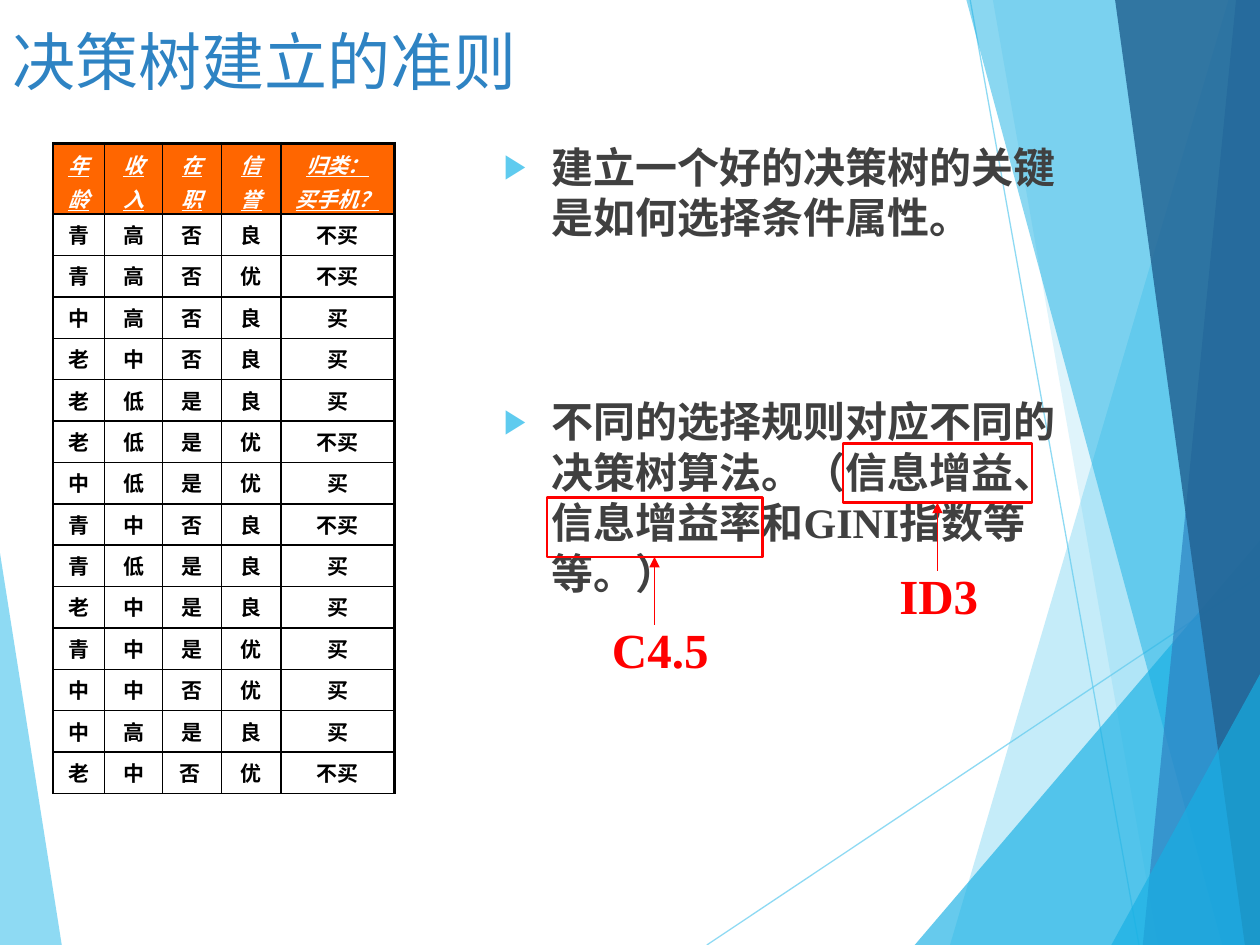
from dataclasses import dataclass
from lxml import etree
from pptx import Presentation, util as u
from pptx.dml.color import RGBColor
from pptx.enum import shapes, text
from pptx.oxml import ns

UNIT = u.Inches(0.1)
WIDE, HIGH = 100, 75


@dataclass(frozen=True)
class Theme:
    """Colours, fonts and type sizes of the slide."""
    sky: str = "5FCBEF"
    aqua: str = "17B0E4"
    blue: str = "2E83C3"
    navy: str = "226292"
    ink: str = "404040"
    black: str = "000000"
    white: str = "FFFFFF"
    red: str = "FF0000"
    head: str = "FF6600"
    serif: str = "Times New Roman"
    sans: str = "Arial"
    title: int = 36
    body: int = 24
    label: int = 28
    cell: int = 12


T = Theme()

FACETS = [
    ([(0, 43.9), (4.9, 75), (0, 75)], T.sky, 70),
    ([(97.5, 0), (75.4, 75), (100, 75), (100, 0)], T.sky, 36),
    ([(78.8, 0), (91.9, 75), (100, 75), (100, 0)], T.sky, 20),
    ([(72.6, 75), (100, 42.9), (100, 75)], T.aqua, 66),
    ([(76.7, 0), (97, 75), (100, 75), (100, 0)], T.aqua, 50),
    ([(98.1, 0), (90.7, 75), (100, 75), (100, 0)], T.blue, 70),
    ([(88.5, 0), (98.8, 75), (100, 75), (100, 0)], T.navy, 82),
    ([(88.2, 75), (100, 53.5), (100, 75)], T.aqua, 66),
]
RAYS = [((56.1, 75), (100, 45.7)), ((77, 0), (90.4, 75))]

COLS = [4.1, 4.6, 4.7, 4.7, 9]
HEADS = ["年\n龄", "收\n入", "在\n职", "信\n誉", "归类：\n买手机？"]
CASES = [
    "青,高,否,良,不买", "青,高,否,优,不买", "中,高,否,良,买", "老,中,否,良,买",
    "老,低,是,良,买", "老,低,是,优,不买", "中,低,是,优,买", "青,中,否,良,不买",
    "青,低,是,良,买", "老,中,是,良,买", "青,中,是,优,买", "中,中,否,优,买",
    "中,高,是,良,买", "老,中,否 ,优,不买",
]
POINTS = [
    "建立一个好的决策树的关键是如何选择条件属性。",
    "不同的选择规则对应不同的决策树算法。（信息增益、信息增益率和GINI指数等等。）",
]


def grid(*vals):
    """Turn grid columns or rows into lengths."""
    return [u.Emu(round(v * UNIT)) for v in vals]


def rgb(code):
    """Make a colour from its code."""
    return RGBColor.from_string(code)


def sub(node, tag, **attrs):
    """Append a drawing element with attributes."""
    return etree.SubElement(node, ns.qn("a:" + tag), attrs)


def fade(color, share):
    """Set the opacity of a solid colour in percent."""
    sub(color.find(".//" + ns.qn("a:srgbClr")), "alpha", val=str(share * 1000))


def style(para, size, color, name=T.serif, **marks):
    """Format every run of a paragraph."""
    for run in para.runs:
        font = run.font
        font.size, font.name = u.Pt(size), name
        font.color.rgb = rgb(color)
        for mark, on in marks.items():
            setattr(font, mark, on)


def line(slide, start, end, color, width):
    """Draw a straight connector without shadow."""
    link = slide.shapes.add_connector(
        shapes.MSO_CONNECTOR.STRAIGHT, *grid(*start, *end))
    link.line.color.rgb, link.line.width = rgb(color), u.Pt(width)
    sub(link._element.spPr, "effectLst")
    return link


def backdrop(slide):
    """Draw the thin rays and the translucent facets."""
    for start, end in RAYS:
        ray = line(slide, start, end, T.sky, 0.75)
        fade(ray.line._ln, 70)
    for spots, color, share in FACETS:
        first, *rest = [grid(*spot) for spot in spots]
        path = slide.shapes.build_freeform(*first)
        path.add_line_segments(rest, close=True)
        facet = path.convert_to_shape()
        facet.shadow.inherit = False
        facet.fill.solid()
        facet.fill.fore_color.rgb = rgb(color)
        facet.line.fill.background()
        fade(facet._element.spPr, share)


def heading(slide, box, words):
    """Place and format the title."""
    shape = slide.shapes.title
    shape.left, shape.top, shape.width, shape.height = grid(*box)
    frame = shape.text_frame
    frame.text = words
    frame.auto_size = text.MSO_AUTO_SIZE.NONE
    frame.vertical_anchor = text.MSO_ANCHOR.TOP
    frame.paragraphs[0].alignment = text.PP_ALIGN.LEFT
    style(frame.paragraphs[0], T.title, T.blue)


def bullets(slide, box, words):
    """Write the bulleted statements."""
    frame = slide.shapes.add_textbox(*grid(*box)).text_frame
    frame.word_wrap = True
    frame.text = "\n".join(words)
    for i, para in enumerate(frame.paragraphs):
        props = para._p.get_or_add_pPr()
        dent = u.Inches(0.38)
        props.set("marL", str(dent))
        props.set("indent", str(-dent))
        if i:
            para.space_before = u.Pt(88)
        sub(sub(props, "buClr"), "srgbClr", val=T.sky)
        sub(props, "buSzPct", val="80000")
        sub(props, "buFont", typeface=T.sans)
        sub(props, "buChar", char="▶")
        style(para, T.body, T.ink, bold=True)


def callout(slide, box, words, mid):
    """Frame a term and point to it from a label centred on mid."""
    x, y, w, h = box
    term = slide.shapes.add_shape(shapes.MSO_SHAPE.RECTANGLE, *grid(*box))
    term.shadow.inherit = False
    term.fill.background()
    term.line.color.rgb, term.line.width = rgb(T.red), u.Pt(1.5)
    foot = y + h
    label = slide.shapes.add_textbox(*grid(mid - 5.5, foot + 4.5, 11, 5.7))
    label.text_frame.text = words
    label.text_frame.word_wrap = True
    para = label.text_frame.paragraphs[0]
    para.alignment = text.PP_ALIGN.CENTER
    style(para, T.label, T.red, bold=True)
    axis = x + w / 2
    arrow = line(slide, (axis, foot + 5.4), (axis, foot), T.red, 1)
    arrow.end_connect(term, 2)
    sub(arrow.line._ln, "tailEnd", type="triangle")


def border(cell, **widths):
    """Draw the four sides of a cell in black."""
    props = cell._tc.get_or_add_tcPr()
    for i, side in enumerate("LRTB"):
        width = u.Pt(widths.get(side, 1))
        edge = etree.Element(ns.qn("a:ln" + side), w=str(width))
        sub(sub(edge, "solidFill"), "srgbClr", val=T.black)
        props.insert(i, edge)


def records(slide, box):
    """Build the table of training cases."""
    rows = [HEADS] + [case.split(",") for case in CASES]
    table = slide.shapes.add_table(len(rows), len(COLS), *grid(*box)).table
    for col, width in zip(table.columns, grid(*COLS)):
        col.width = width
    top = 5.6
    step = (box[3] - top) / len(CASES)
    for r, row in enumerate(rows):
        table.rows[r].height, = grid(step if r else top)
        for c, words in enumerate(row):
            cell = table.cell(r, c)
            cell.text = words
            cell.margin_top, cell.margin_bottom = u.Inches(0.04), 0
            cell.fill.solid()
            cell.fill.fore_color.rgb = rgb(T.white if r else T.head)
            border(cell, T=1 if r else 2.25,
                   R=2.25 if c == len(COLS) - 1 else 1)
            for i, para in enumerate(cell.text_frame.paragraphs):
                para.alignment = text.PP_ALIGN.CENTER
                if i:
                    para.space_before = u.Pt(2.4)
                style(para, T.cell, T.black if r else T.white,
                      T.sans if r else T.serif,
                      bold=True, italic=not r, underline=not r)


def main():
    """Build and save the slide."""
    deck = Presentation()
    deck.slide_width, deck.slide_height = grid(WIDE, HIGH)
    slide = deck.slides.add_slide(deck.slide_layouts[5])
    backdrop(slide)
    heading(slide, (0, 1.3, 86.8, 5.3), "决策树建立的准则")
    bullets(slide, (39, 10.7, 46.5, 48.8), POINTS)
    callout(slide, (66.9, 35.2, 15, 4.7), "ID3", 74.5)
    callout(slide, (43.4, 39.5, 17.1, 4.7), "C4.5", 52.4)
    records(slide, (4.2, 11.4, 27.1, 51.6))
    deck.save("out.pptx")


if __name__ == "__main__":
    main()
